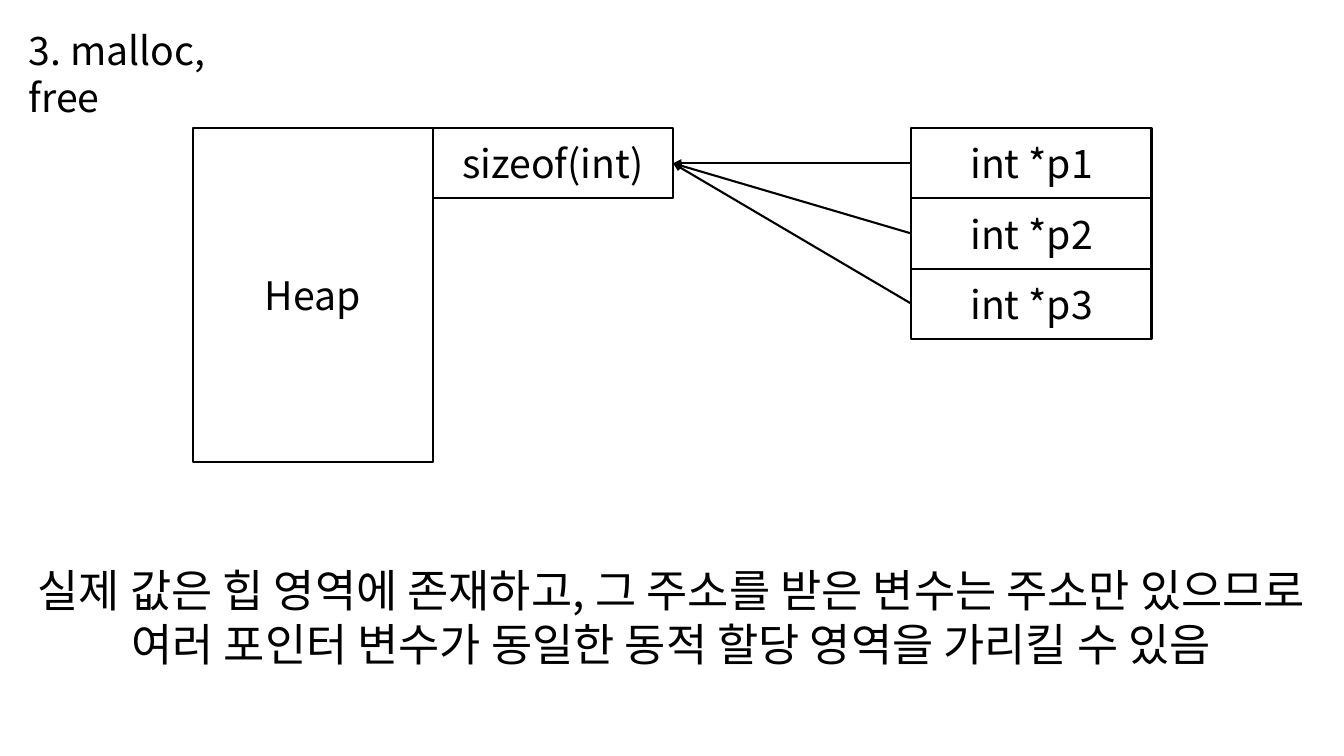
from dataclasses import dataclass

from lxml.etree import SubElement
from pptx import Presentation
from pptx.dml.color import RGBColor
from pptx.enum.shapes import MSO_CONNECTOR, MSO_SHAPE
from pptx.enum.text import MSO_ANCHOR, PP_ALIGN
from pptx.oxml.ns import qn
from pptx.util import Cm, Pt


@dataclass(frozen=True)
class Theme:
    font: str = "Noto Sans CJK KR"
    ink: RGBColor = RGBColor(0, 0, 0)
    paper: RGBColor = RGBColor(255, 255, 255)
    label: Pt = Pt(28)
    note: Pt = Pt(32)
    rule: Pt = Pt(1.5)


THEME = Theme()
CELL_W, CELL_H = Cm(6.05), Cm(1.77)


def set_all(item, values):
    for name, value in values.items():
        setattr(item, name, value)


def write(shape, lines, size, align, anchor):
    frame = shape.text_frame
    set_all(frame, {"text": "\n".join(lines), "word_wrap": True,
                    "vertical_anchor": anchor})
    for par in frame.paragraphs:
        set_all(par, {"alignment": align, "line_spacing": 1.0,
                      "space_before": Pt(0)})
        set_all(par.font, {"name": THEME.font, "size": size})
        par.font.color.rgb = THEME.ink


def add_title(slide, left, top, width, height):
    title = slide.shapes.title
    set_all(title, {"left": left, "top": top, "width": width, "height": height})
    write(title, ["3. malloc, free"], THEME.label, PP_ALIGN.LEFT, MSO_ANCHOR.TOP)


def add_note(slide, left, top, width, height):
    note = slide.shapes.add_textbox(left, top, width, height)
    lines = ["실제 값은 힙 영역에 존재하고, 그 주소를 받은 변수는 주소만 있으므로",
             "여러 포인터 변수가 동일한 동적 할당 영역을 가리킬 수 있음"]
    write(note, lines, THEME.note, PP_ALIGN.CENTER, MSO_ANCHOR.TOP)


def add_cell(slide, text, left, top, width=CELL_W, height=CELL_H):
    cell = slide.shapes.add_shape(MSO_SHAPE.RECTANGLE, left, top, width, height)
    cell.shadow.inherit = False
    cell.fill.solid()
    cell.fill.fore_color.rgb = THEME.paper
    cell.line.color.rgb = THEME.ink
    cell.line.width = THEME.rule
    write(cell, [text], THEME.label, PP_ALIGN.CENTER, MSO_ANCHOR.MIDDLE)
    return cell


def add_arrow(slide, start, end):
    """Point from the left side of one cell to the right side of another."""
    arrow = slide.shapes.add_connector(MSO_CONNECTOR.STRAIGHT, 0, 0, 0, 0)
    arrow.begin_connect(start, 1)
    arrow.end_connect(end, 3)
    arrow.line.color.rgb = THEME.ink
    arrow.line.width = THEME.rule
    SubElement(arrow.line._get_or_add_ln(), qn("a:tailEnd"), type="triangle")
    SubElement(arrow._element.spPr, qn("a:effectLst"))


def add_memory(slide, left, top, width, height):
    """Draw the heap at the left and its pointers at the right of the box."""
    add_cell(slide, "Heap", left, top, height=height)
    block = add_cell(slide, "sizeof(int)", left + CELL_W, top)
    for row in range(3):
        pointer = add_cell(slide, f"int *p{row + 1}",
                           left + width - CELL_W, top + row * CELL_H)
        add_arrow(slide, pointer, block)


def main():
    deck = Presentation()
    set_all(deck, {"slide_width": Cm(33.87), "slide_height": Cm(19.05)})
    slide = deck.slides.add_slide(deck.slide_layouts.get_by_name("Title Only"))
    add_title(slide, Cm(0.47), Cm(0.53), Cm(6.86), Cm(1.45))
    add_note(slide, Cm(0.61), Cm(14.05), Cm(32.64), Cm(3))
    add_memory(slide, Cm(4.86), Cm(3.23), Cm(24.16), Cm(8.41))
    deck.save("out.pptx")


if __name__ == "__main__":
    main()
